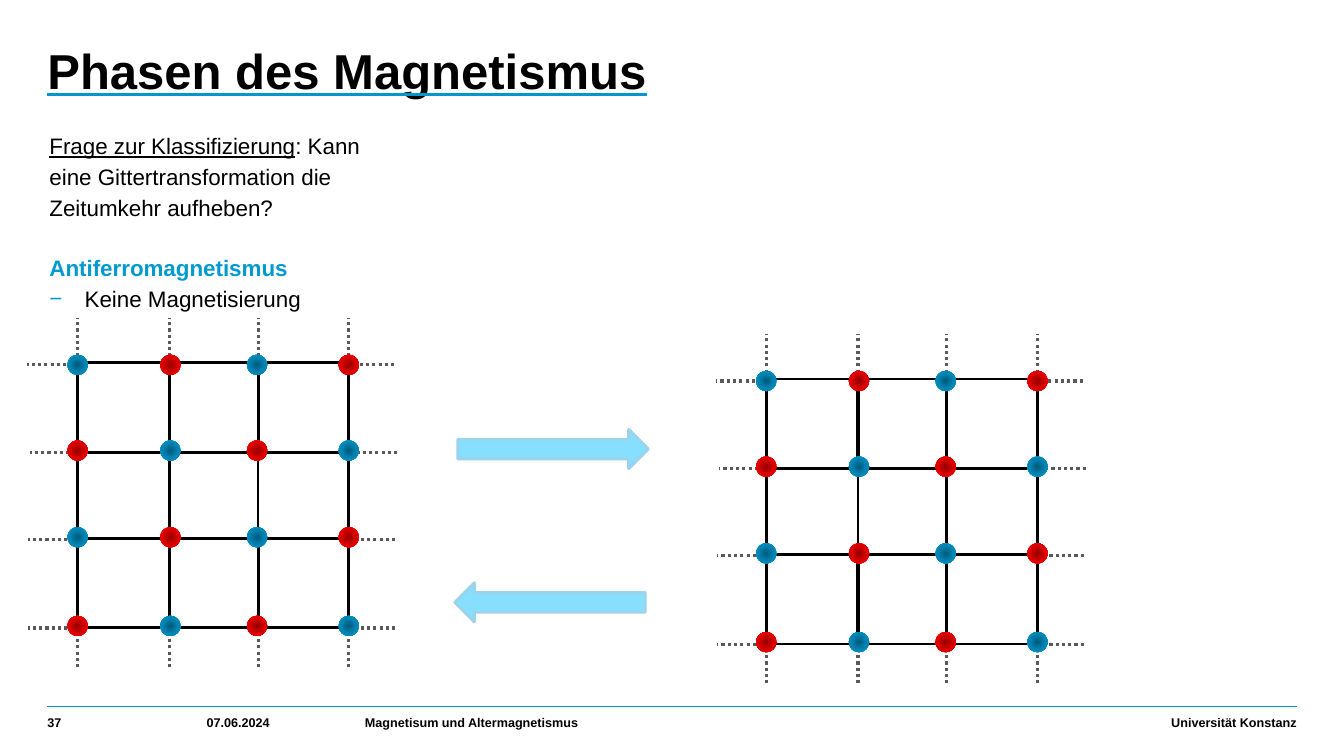
import itertools
import lxml.etree
import pptx
import pptx.dml.color
import pptx.enum.dml
import pptx.enum.shapes
import pptx.enum.text
import pptx.oxml
import pptx.oxml.ns
import pptx.util

Inches, Pt = pptx.util.Inches, pptx.util.Pt
SHAPE = pptx.enum.shapes.MSO_SHAPE
ALIGN = pptx.enum.text.PP_ALIGN
ANCHOR = pptx.enum.text.MSO_ANCHOR

# Content
HEADING = "Phasen des Magnetismus"
QUESTION = [("Frage zur Klassifizierung", True),
            (": Kann eine Gittertransformation die Zeitumkehr aufheben?", False)]
PHASE = "Antiferromagnetismus"
PROPERTY = "Keine Magnetisierung"
FOOTER = [  # text, left, width, alignment
    ("37", 0.47, 1.36, ALIGN.LEFT),
    ("07.06.2024", 2.05, 1.37, ALIGN.LEFT),
    ("Magnetisum und Altermagnetismus", 3.62, 6.3, ALIGN.LEFT),
    ("Universität Konstanz", 8.35, 4.51, ALIGN.RIGHT),
]
ARROWS = [(4.54, 4.26, 0), (4.51, 5.78, 180)]  # left, top, rotation

# Lattice geometry
LATTICE_SHIFTS = [(0, 0), (6.83, 0.16)]
COLUMNS = (0.77, 1.68, 2.56, 3.46)
ROWS = (3.6, 4.49, 5.34, 6.23)
SPIN_COLUMNS = (0.77, 1.69, 2.55, 3.46)
SPIN_ROWS = (3.62, 4.47, 5.33, 6.21)
STUBS = ((0.27, 3.62), (0.3, 4.49), (0.28, 5.35), (0.28, 6.23))  # left end, row
STUB_LENGTH, STUB_SPAN = 0.45, 3.19
STUB_TOPS = (3.15, 6.17)
SPIN_SIZE = 0.2

THEME = {
    "font": "Arial", "text": "000000", "accent": "009AD1", "rule": "0097CC",
    "bond": "000000", "stub": "595959", "arrow": "87DFFF", "arrow_edge": "9BD3EA",
    "spin_up": ("005B7C", "0082B0", "009AD1"),
    "spin_down": ("970000", "D70000", "FF0000"),
    "title_size": 35, "body_size": 16, "footer_size": 9,
}


def rgb(color):
    return pptx.dml.color.RGBColor.from_string(color)


def add_xml(parent, tag, **attributes):
    return lxml.etree.SubElement(parent, pptx.oxml.ns.qn(tag), attributes)


def set_values(target, values):
    for name, value in values.items():
        setattr(target, name, value)


def format_run(run, size, color=THEME["text"], **values):
    set_values(run.font, {"name": THEME["font"], "size": Pt(size), **values})
    run.font.color.rgb = rgb(color)


def format_frame(frame, anchor=ANCHOR.TOP, bottom=0):
    set_values(frame, {
        "margin_left": 0, "margin_right": 0, "margin_top": 0,
        "margin_bottom": Inches(bottom), "word_wrap": True,
        "auto_size": pptx.enum.text.MSO_AUTO_SIZE.NONE, "vertical_anchor": anchor})


def place(shape, left, top, width, height):
    set_values(shape, {"left": Inches(left), "top": Inches(top),
                       "width": Inches(width), "height": Inches(height)})


def add_line(shapes, start, end, color, weight, dash=None):
    line = shapes.add_connector(pptx.enum.shapes.MSO_CONNECTOR.STRAIGHT,
                                *map(Inches, (*start, *end)))
    line.line.color.rgb = rgb(color)
    line.line.width = Pt(weight)
    if dash:
        line.line.dash_style = dash
    add_xml(line._element.spPr, "a:effectLst")


def add_outlined(shapes, kind, box, color, fill=None):
    shape = shapes.add_shape(kind, *map(Inches, box))
    shape.shadow.inherit = False
    if fill:
        shape.fill.solid()
        shape.fill.fore_color.rgb = rgb(fill)
    else:
        shape.fill.background()
    shape.line.color.rgb = rgb(color)
    shape.line.width = Pt(2)
    return shape


def add_spin(shapes, x, y, colors):
    spin = shapes.add_shape(SHAPE.OVAL, Inches(x - SPIN_SIZE / 2), Inches(y - SPIN_SIZE / 2),
                            Inches(SPIN_SIZE), Inches(SPIN_SIZE))
    spin.shadow.inherit = False
    spin.line.fill.background()
    spin.fill.background()
    no_fill = spin._element.spPr.find(pptx.oxml.ns.qn("a:noFill"))
    gradient = pptx.oxml.parse_xml(
        f'<a:gradFill {pptx.oxml.ns.nsdecls("a")} rotWithShape="1"/>')
    stops = add_xml(gradient, "a:gsLst")
    for position, color in zip((0, 50000, 100000), colors):
        add_xml(add_xml(stops, "a:gs", pos=str(position)), "a:srgbClr", val=color)
    circle = add_xml(gradient, "a:path", path="circle")
    add_xml(circle, "a:fillToRect", l="50000", t="50000", r="50000", b="50000")
    no_fill.getparent().replace(no_fill, gradient)


def add_lattice(slide, dx, dy):
    shapes = slide.shapes.add_group_shape().shapes
    columns, rows = [x + dx for x in COLUMNS], [y + dy for y in ROWS]

    # Dotted continuations
    stubs = []
    for (left, y), offset in itertools.product(STUBS, (0, STUB_SPAN)):
        x = left + offset + dx
        stubs.append(((x + STUB_LENGTH, y + dy), (x, y + dy)))
    for x, top in itertools.product(columns, STUB_TOPS):
        stubs.append(((x, top + STUB_LENGTH + dy), (x, top + dy)))
    for start, end in stubs:
        add_line(shapes, start, end, THEME["stub"], 2.25, pptx.enum.dml.MSO_LINE.ROUND_DOT)

    # Outer and inner square, joined by bonds
    for first, last in ((0, 3), (1, 2)):
        box = (columns[first], rows[first],
               columns[last] - columns[first], rows[last] - rows[first])
        add_outlined(shapes, SHAPE.RECTANGLE, box, THEME["bond"])
    for inner, (a, b) in itertools.product((1, 2), ((0, 1), (2, 3))):
        add_line(shapes, (columns[inner], rows[a]), (columns[inner], rows[b]),
                 THEME["bond"], 2.25)
        add_line(shapes, (columns[a], rows[inner]), (columns[b], rows[inner]),
                 THEME["bond"], 2.25)

    # Alternating spins
    for (i, y), (j, x) in itertools.product(enumerate(SPIN_ROWS), enumerate(SPIN_COLUMNS)):
        add_spin(shapes, x + dx, y + dy, THEME["spin_down" if (i + j) % 2 else "spin_up"])


def fill_title(title):
    place(title, 0.47, 0.44, 9.24, 0.77)
    format_frame(title.text_frame)
    paragraph = title.text_frame.paragraphs[0]
    set_values(paragraph, {"alignment": ALIGN.LEFT, "line_spacing": 0.95})
    run = paragraph.add_run()
    run.text = HEADING
    format_run(run, THEME["title_size"], bold=True, underline=True)
    underline = pptx.oxml.parse_xml(f'<a:uFill {pptx.oxml.ns.nsdecls("a")}/>')
    add_xml(add_xml(underline, "a:solidFill"), "a:srgbClr", val=THEME["rule"])
    run.font._element.find(pptx.oxml.ns.qn("a:solidFill")).addnext(underline)


def fill_body(body):
    place(body, 0.49, 1.27, 3.49, 5.04)
    format_frame(body.text_frame)
    question = body.text_frame.paragraphs[0]
    phase, finding = (body.text_frame.add_paragraph() for _ in range(2))
    finding.level = 1
    for paragraph, before in ((question, 0), (phase, 21), (finding, 0)):
        set_values(paragraph, {"alignment": ALIGN.LEFT, "line_spacing": 1.15,
                               "space_before": Pt(before), "space_after": Pt(0)})
        bulleted = paragraph is finding
        indent = Inches(0.35) if bulleted else 0
        properties = paragraph._p.get_or_add_pPr()
        properties.set("marL", str(indent))
        properties.set("indent", str(-indent))
        if bulleted:
            add_xml(add_xml(properties, "a:buClr"), "a:srgbClr", val=THEME["accent"])
            add_xml(properties, "a:buFont", typeface=THEME["font"])
            add_xml(properties, "a:buChar", char="−")
        else:
            add_xml(properties, "a:buNone")
    for paragraph, text, values in (
            *((question, text, {"underline": lined}) for text, lined in QUESTION),
            (phase, PHASE, {"color": THEME["accent"], "bold": True}),
            (finding, PROPERTY, {})):
        run = paragraph.add_run()
        run.text = text
        format_run(run, THEME["body_size"], **values)


def main():
    deck = pptx.Presentation()
    deck.slide_width, deck.slide_height = Inches(13.33), Inches(7.5)
    slide = deck.slides.add_slide(deck.slide_layouts[1])

    # Footer
    add_line(slide.shapes, (0.47, 7.01), (12.86, 7.01), THEME["rule"], 1)
    for text, left, width, alignment in FOOTER:
        note = slide.shapes.add_textbox(*map(Inches, (left, 7.06, width, 0.24)))
        format_frame(note.text_frame, ANCHOR.BOTTOM, 0.06)
        paragraph = note.text_frame.paragraphs[0]
        paragraph.alignment = alignment
        run = paragraph.add_run()
        run.text = text
        format_run(run, THEME["footer_size"], bold=True)

    # Title and text
    fill_title(slide.shapes.title)
    fill_body(slide.placeholders[1])

    # Lattices and the transformation between them
    for shift in LATTICE_SHIFTS:
        add_lattice(slide, *shift)
    for left, top, rotation in ARROWS:
        arrow = add_outlined(slide.shapes, SHAPE.RIGHT_ARROW, (left, top, 1.89, 0.39),
                             THEME["arrow_edge"], THEME["arrow"])
        arrow.rotation = rotation

    deck.save("out.pptx")


if __name__ == "__main__":
    main()
